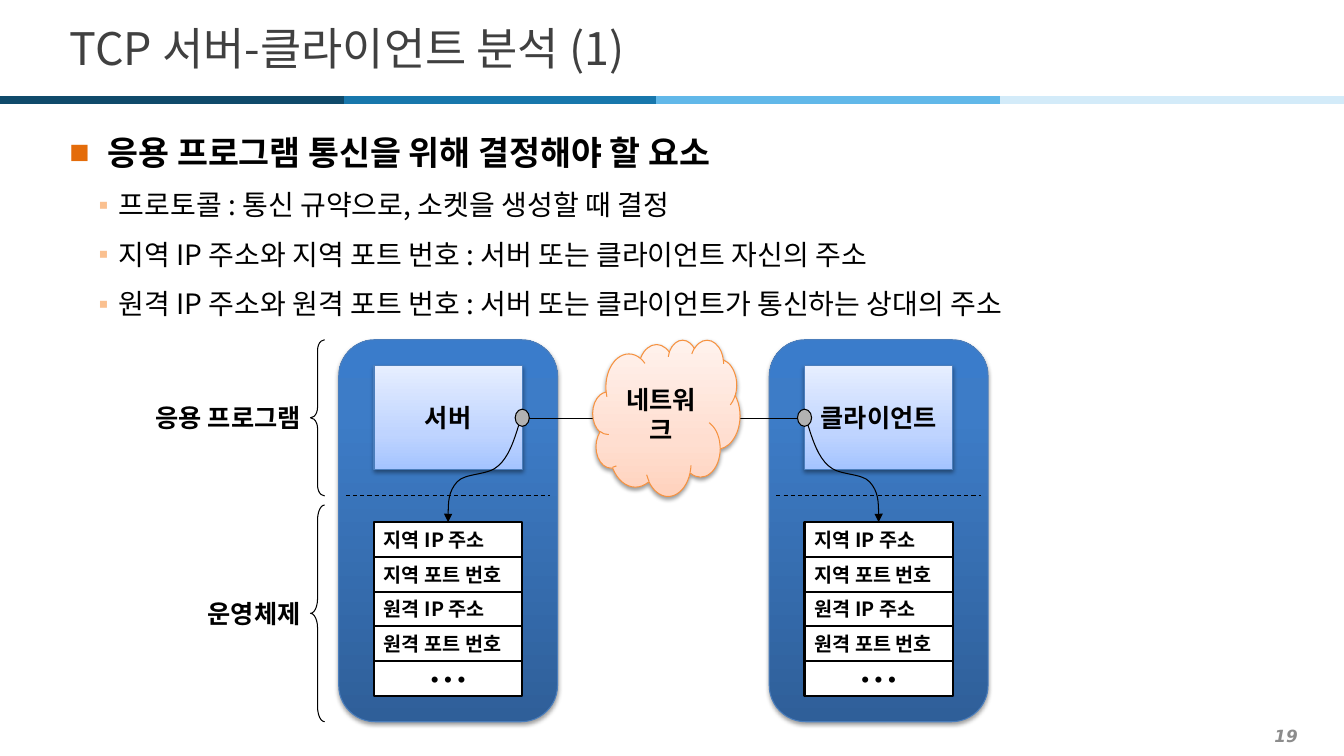
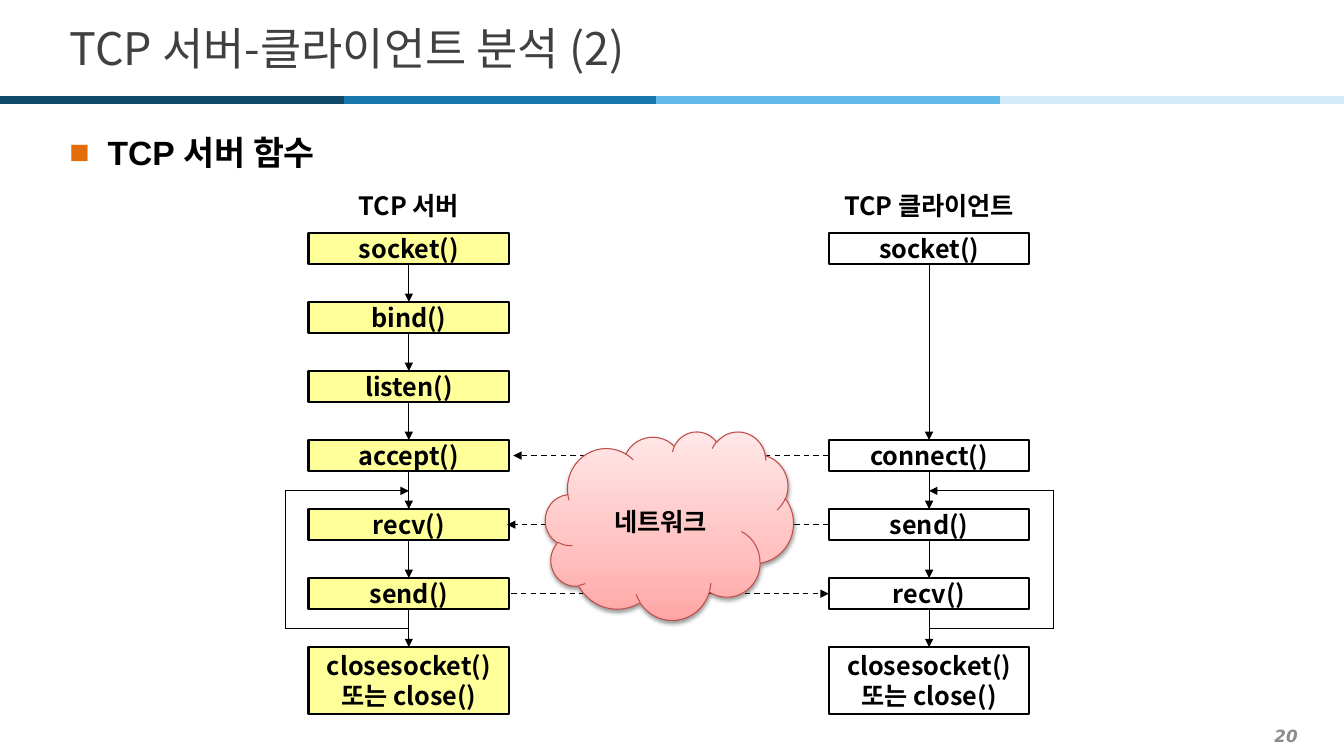
"""Two slides on how a TCP server and client communicate."""
from itertools import pairwise
from lxml.etree import SubElement
from pptx import Presentation
from pptx.dml.color import RGBColor
from pptx.enum.dml import MSO_LINE
from pptx.enum.shapes import MSO_CONNECTOR, MSO_SHAPE as Kind
from pptx.enum.text import MSO_ANCHOR, MSO_AUTO_SIZE, PP_ALIGN as Align
from pptx.oxml.ns import qn
from pptx.util import Inches, Pt


class Theme:
    font, head, page, dots = "Noto Sans CJK KR", "Arial", "DejaVu Sans", "Times New Roman"
    ink, gray, faint, white = "000000", "404040", "8C8C8C", "FFFFFF"
    knob, step = "B2B2B2", "FFFF99"
    band = ["0F4A6B", "1877AC", "61B8E9", "D3EBF9"]
    marks = [("■", "E46C0A"), ("▪", "FAC090")]
    blue, orange, red = "4B7EBC", "F69240", "BF4C48"
    panel = [(0, "2F5F99"), (80, "3D7CC7"), (100, "3A7CCB")]
    app = [(0, "A4C4FF"), (35, "BFD4FF"), (100, "E6EEFF")]
    peach = [(0, "FFD2BD"), (35, "FFDED0"), (100, "FFF2ED")]
    pink = [(0, "FFA6A5"), (35, "FFC0BF"), (100, "FFE7E7")]
    title, lead, sub, label, more, cell, num = 32, 24, 20, 18, 16, 14, 12


def dress(shp, lines=(), size=Theme.label, align=Align.CENTER, fill=None, edge=None,
          wide=0.75, tint=Theme.ink, font=Theme.font, bold=True, ital=False):
    shp.shadow.inherit = False
    if isinstance(fill, list):
        shp.fill.gradient()
        shp.fill.gradient_angle = 90
        stops = shp.element.spPr.find(".//" + qn("a:gsLst"))
        stops[:] = []
        for pos, hue in fill:
            stop = SubElement(stops, qn("a:gs"), pos=str(pos * 1000))
            SubElement(stop, qn("a:srgbClr"), val=hue)
        glow = SubElement(shp.element.spPr.find(qn("a:effectLst")), qn("a:outerShdw"),
                          blurRad=str(Pt(3.1)), dist=str(Pt(1.6)), dir="5400000", rotWithShape="0")
        tone = SubElement(glow, qn("a:srgbClr"), val=Theme.ink)
        SubElement(tone, qn("a:alpha"), val="38000")
    elif fill:
        shp.fill.solid()
        shp.fill.fore_color.rgb = RGBColor.from_string(fill)
    else:
        shp.fill.background()
    if edge:
        shp.line.color.rgb = RGBColor.from_string(edge)
        shp.line.width = Pt(wide)
    else:
        shp.line.fill.background()
    frame = shp.text_frame
    frame.word_wrap = True
    frame.auto_size = MSO_AUTO_SIZE.NONE
    frame.vertical_anchor = MSO_ANCHOR.MIDDLE
    frame.margin_top = frame.margin_bottom = 0
    for i, line in enumerate(lines):
        para = frame.add_paragraph() if i else frame.paragraphs[0]
        para.alignment = align
        run = para.add_run()
        run.text = line
        run.font.size, run.font.name = Pt(size), font
        run.font.bold, run.font.italic = bold, ital
        run.font.color.rgb = RGBColor.from_string(tint)
        SubElement(run.font._element, qn("a:ea"), typeface=Theme.font)
    return shp


def link(page, x1, y1, x2, y2, tint=Theme.ink, wide=0.75, dash=False, tip=False):
    wire = page.shapes.add_connector(MSO_CONNECTOR.STRAIGHT, *map(Inches, (x1, y1, x2, y2)))
    wire.line.color.rgb = RGBColor.from_string(tint)
    wire.line.width = Pt(wide)
    if dash:
        wire.line.dash_style = MSO_LINE.DASH
    if tip:
        SubElement(wire.element.spPr.find(qn("a:ln")), qn("a:tailEnd"), type="triangle")
    SubElement(wire.element.spPr, qn("a:effectLst"))
    return wire


deck = Presentation()
deck.slide_width, deck.slide_height = Inches(13.33), Inches(7.5)
plan = deck.slide_layouts[5]

topics = [
    ["응용 프로그램 통신을 위해 결정해야 할 요소",
     "프로토콜 : 통신 규약으로, 소켓을 생성할 때 결정",
     "지역 IP 주소와 지역 포트 번호 : 서버 또는 클라이언트 자신의 주소",
     "원격 IP 주소와 원격 포트 번호 : 서버 또는 클라이언트가 통신하는 상대의 주소"],
    ["TCP 서버 함수"],
]
pages = []
for n, lines in enumerate(topics, 1):
    page = deck.slides.add_slide(plan)
    pages.append(page)
    name = page.shapes.title
    name.left, name.top, name.width, name.height = map(Inches, (0.59, 0.13, 12.21, 0.68))
    dress(name, [f"TCP 서버-클라이언트 분석 ({n})"], Theme.title, Align.LEFT,
          tint=Theme.gray, bold=False)
    foot = page.shapes.add_textbox(*map(Inches, (0.2, 7.14, 12.77, 0.31)))
    dress(foot, [str(18 + n)], Theme.num, Align.RIGHT, tint=Theme.faint, font=Theme.page, ital=True)
    body = page.shapes.add_textbox(*map(Inches, (0.59, 1.18, 12.26, 2.1)))
    dress(body, lines, Theme.sub, Align.LEFT, bold=False)
    body.text_frame.vertical_anchor = MSO_ANCHOR.TOP
    body.text_frame.margin_top = Inches(0.05)
    for i, para in enumerate(body.text_frame.paragraphs):
        para.line_spacing = 1.3 if i else 1.2
        para.space_before, para.space_after = Pt(2 if i else 0), Pt(2)
        if i == 0:
            font = para.runs[0].font
            font.name, font.size, font.bold = Theme.head, Pt(Theme.lead), True
        left, hang = (0.49, 0.2) if i else (0.38, 0.38)
        mark, hue = Theme.marks[min(i, 1)]
        prop = para._p.get_or_add_pPr()
        prop.set("marL", str(Inches(left)))
        prop.set("indent", str(-Inches(hang)))
        SubElement(SubElement(prop, qn("a:buClr")), qn("a:srgbClr"), val=hue)
        SubElement(prop, qn("a:buFont"), typeface=Theme.head)
        SubElement(prop, qn("a:buChar"), char=mark)

ends = [0, 3.41, 6.51, 9.92, 13.33]
for (x1, x2), hue in zip(pairwise(ends), Theme.band):
    plan.shapes.element.append(link(pages[0], x1, 0.99, x2, 0.99, hue, 6).element)

page = pages[0]
fields = ["지역 IP 주소", "지역 포트 번호", "원격 IP 주소", "원격 포트 번호", "• • •"]
curve = [(0.7, 4.22), (0.65, 4.38), (0.6, 4.53), (0.5, 4.62), (0.4, 4.72),
         (0.17, 4.69), (0.09, 4.78), (0, 4.88), (0, 5.03), (0, 5.18)]
for x, host, side in [(3.36, "서버", 1), (7.63, "클라이언트", -1)]:
    mid = x + 1.085
    left = mid - 0.735
    dress(page.shapes.add_shape(Kind.ROUNDED_RECTANGLE, *map(Inches, (x, 3.37, 2.17, 3.79))),
          fill=Theme.panel, edge=Theme.blue)
    dress(page.shapes.add_shape(Kind.RECTANGLE, *map(Inches, (left, 3.63, 1.47, 1.03))),
          [host], fill=Theme.app, edge=Theme.blue)
    link(page, x + 0.07, 4.92, x + 2.1, 4.92, dash=True)
    for i, text in enumerate(fields):
        last = text == fields[-1]
        spot = (left, 5.18 + 0.345 * i, 1.47, 0.345)
        dress(page.shapes.add_shape(Kind.RECTANGLE, *map(Inches, spot)), [text],
              Theme.more if last else Theme.cell, Align.CENTER if last else Align.LEFT,
              Theme.white, Theme.ink, 1.5, font=Theme.dots if last else Theme.font)
    knob = (mid + side * 0.735 - 0.07, 4.06, 0.14, 0.17)
    dress(page.shapes.add_shape(Kind.OVAL, *map(Inches, knob)), fill=Theme.knob, edge=Theme.ink)
    dots = [(Inches(mid + side * dx), Inches(y)) for dx, y in curve]
    pen = page.shapes.build_freeform(*dots[0], scale=1.0)
    pen.add_line_segments(dots[1:], close=False)
    bend = dress(pen.convert_to_shape(), edge=Theme.ink)
    path = bend.element.find(".//" + qn("a:path"))
    segs = path.findall(qn("a:lnTo"))
    for i in range(0, len(segs), 3):
        cubic = SubElement(path, qn("a:cubicBezTo"))
        for seg in segs[i:i + 3]:
            cubic.append(seg[0])
            path.remove(seg)
    SubElement(bend.element.spPr.find(qn("a:ln")), qn("a:tailEnd"), type="triangle")

link(page, 5.25, 4.15, 7.91, 4.15)
dress(page.shapes.add_shape(Kind.CLOUD, *map(Inches, (5.88, 3.37, 1.46, 1.55))),
      ["네트워크"], fill=Theme.peach, edge=Theme.orange)
for text, top, tall, curl in [("응용 프로그램", 3.37, 1.55, 0.75), ("운영체제", 5.01, 2.15, 1.04)]:
    spot = (1.25, top + tall / 2 - 0.17, 1.83, 0.34)
    dress(page.shapes.add_textbox(*map(Inches, spot)), [text], align=Align.RIGHT)
    brace = page.shapes.add_shape(Kind.LEFT_BRACE, *map(Inches, (3.08, top, 0.14, tall)))
    brace.adjustments[0] = curl
    dress(brace, edge=Theme.ink)

page = pages[1]
top, pitch, wide, tall = 2.31, 0.685, 1.99, 0.31
close = "closesocket()\n또는 close()"
server = ["socket()", "bind()", "listen()", "accept()", "recv()", "send()", close]
client = ["socket()", None, None, "connect()", "send()", "recv()", close]
for x, name, calls, fill, out in [(3.06, "TCP 서버", server, Theme.step, 2.83),
                                  (8.22, "TCP 클라이언트", client, None, 10.45)]:
    mid = x + wide / 2
    dress(page.shapes.add_textbox(*map(Inches, (x, 1.88, wide, tall))), [name])
    rows = [(top + pitch * i, call) for i, call in enumerate(calls) if call]
    for y, call in rows:
        high = 0.66 if call == close else tall
        dress(page.shapes.add_shape(Kind.RECTANGLE, *map(Inches, (x, y, wide, high))),
              call.split("\n"), fill=fill, edge=Theme.ink, wide=1.5)
    for (y1, _), (y2, _) in pairwise(rows):
        link(page, mid, y1 + tall, mid, y2, tip=True)
    link(page, mid, 6.24, out, 6.24)
    link(page, out, 6.24, out, 4.87)
    link(page, out, 4.87, mid, 4.87, tip=True)

for row, x1, x2 in [(3, 8.22, 5.09), (4, 8.22, 5.03), (5, 5.07, 8.22)]:
    y = top + pitch * row + tall / 2
    link(page, x1, y, x2, y, wide=1, dash=True, tip=True)
dress(page.shapes.add_shape(Kind.CLOUD, *map(Inches, (5.41, 4.28, 2.46, 1.87))),
      ["네트워크"], fill=Theme.pink, edge=Theme.red)

deck.save("out.pptx")
